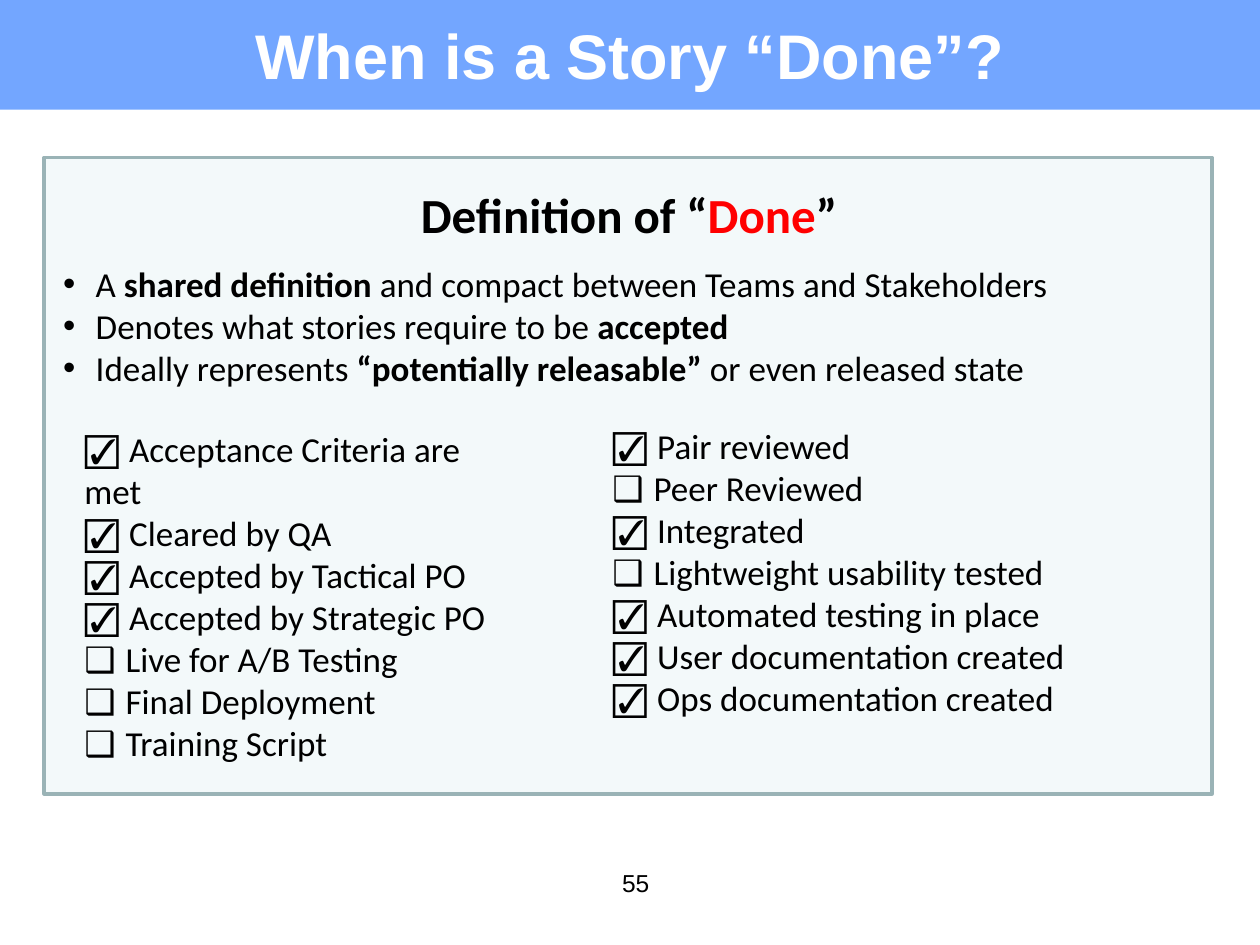
from lxml.etree import SubElement
from pptx import Presentation
from pptx.dml.color import RGBColor
from pptx.enum.shapes import MSO_SHAPE as Shape
from pptx.enum.text import PP_ALIGN as Align
from pptx.oxml.ns import qn
from pptx.util import Inches, Pt

BLUE = RGBColor(0x73, 0xA6, 0xFF)
PALE = RGBColor(0xE9, 0xF5, 0xF6)
TEAL = RGBColor(0x9A, 0xB3, 0xB6)
WHITE = RGBColor(0xFF, 0xFF, 0xFF)
BLACK = RGBColor(0, 0, 0)
RED = RGBColor(0xFF, 0, 0)

DONE, OPEN = "☑ ", "❑ "
DEFINITION = [
    [("A ", False), ("shared definition ", True),
     ("and compact between Teams and Stakeholders", False)],
    [("Denotes what stories require to be ", False), ("accepted", True)],
    [("Ideally represents ", False), ("“potentially releasable” ", True),
     ("or even released state", False)],
]
ACCEPTANCE = [
    (DONE, "Acceptance Criteria are met"),
    (DONE, "Cleared by QA"),
    (DONE, "Accepted by Tactical PO"),
    (DONE, "Accepted by Strategic PO"),
    (OPEN, "Live for A/B Testing"),
    (OPEN, "Final Deployment"),
    (OPEN, "Training Script"),
]
QUALITY = [
    (DONE, "Pair reviewed"),
    (OPEN, "Peer Reviewed"),
    (DONE, "Integrated"),
    (OPEN, "Lightweight usability tested"),
    (DONE, "Automated testing in place"),
    (DONE, "User documentation created"),
    (DONE, "Ops documentation created"),
]


class Painter:
    heading_font, body_font = "Arial", "Calibri"
    body_size = 20

    def __init__(self, page):
        self.page = page

    def panel(self, left, top, width, height, fill, line=None, opacity=None):
        box = self.page.shapes.add_shape(
            Shape.RECTANGLE, Inches(left), Inches(top), Inches(width), Inches(height))
        box.shadow.inherit = False
        box.fill.solid()
        box.fill.fore_color.rgb = fill
        if opacity:
            color = box.fill._xPr.find(qn("a:solidFill"))[0]
            SubElement(color, qn("a:alpha"), val=str(opacity * 1000))
        if line:
            box.line.color.rgb = line
            box.line.width = Pt(2)
        else:
            box.line.fill.background()

    def frame(self, left, top, width, height, inset=0):
        box = self.page.shapes.add_textbox(
            Inches(left), Inches(top), Inches(width), Inches(height))
        frame = box.text_frame
        frame.word_wrap = True
        frame.margin_left = frame.margin_right = frame.margin_bottom = 0
        frame.margin_top = Inches(inset)
        return frame

    def style(self, para, font, size, color=BLACK, bold=False):
        para.font.name, para.font.size, para.font.bold = font, Pt(size), bold
        para.font.color.rgb = color

    def label(self, text, area, size, color=BLACK, bold=False):
        para = self.frame(*area).paragraphs[0]
        para.text = text
        para.alignment = Align.CENTER
        self.style(para, self.heading_font, size, color, bold)

    def definition(self, area, inset, points):
        frame = self.frame(*area, inset)
        heading = frame.paragraphs[0]
        heading._p.get_or_add_pPr().set("marL", str(Inches(2.85)))
        self.style(heading, self.body_font, 28, bold=True)
        for text, color in (("Definition of “", BLACK), ("Done", RED), ("”", BLACK)):
            span = heading.add_run()
            span.text = text
            span.font.color.rgb = color
        for index, point in enumerate(points):
            para = frame.add_paragraph()
            if index == 0:
                para.space_before = Pt(11.4)
            self.bullet(para)
            self.style(para, self.body_font, self.body_size)
            for text, bold in point:
                span = para.add_run()
                span.text = text
                span.font.bold = bold

    def bullet(self, para):
        props = para._p.get_or_add_pPr()
        props.set("marL", str(Inches(0.27)))
        props.set("indent", str(-Inches(0.26)))
        SubElement(props, qn("a:buFont"), typeface=self.heading_font)
        SubElement(props, qn("a:buChar"), char="•")

    def checklist(self, area, items):
        frame = self.frame(*area, 0.01)
        for index, (mark, text) in enumerate(items):
            para = frame.add_paragraph() if index else frame.paragraphs[0]
            para._p.get_or_add_pPr().set("marL", str(Inches(0.01)))
            self.style(para, self.body_font, self.body_size)
            for part, font in ((mark, self.heading_font), (text, self.body_font)):
                span = para.add_run()
                span.text = part
                span.font.name = font


def main():
    deck = Presentation()
    deck.slide_width, deck.slide_height = Inches(10), Inches(7.5)
    painter = Painter(deck.slides.add_slide(deck.slide_layouts[6]))

    # Title band
    painter.panel(0, 0, 10, 0.87, BLUE)
    painter.label("When is a Story “Done”?", (1, 0.13, 8, 0.63), 36, WHITE, True)

    # Definition panel
    painter.panel(0.35, 1.25, 9.27, 5.05, PALE, TEAL, 51)
    painter.definition((0.49, 1.22, 7.87, 1.88), 0.24, DEFINITION)

    # Page number
    painter.label("55", (4.89, 6.89, 0.31, 0.25), 14)

    # Checklists
    painter.checklist((0.66, 3.38, 3.5, 2.36), ACCEPTANCE)
    painter.checklist((4.85, 3.36, 3.65, 2.36), QUALITY)

    deck.save("out.pptx")


if __name__ == "__main__":
    main()
